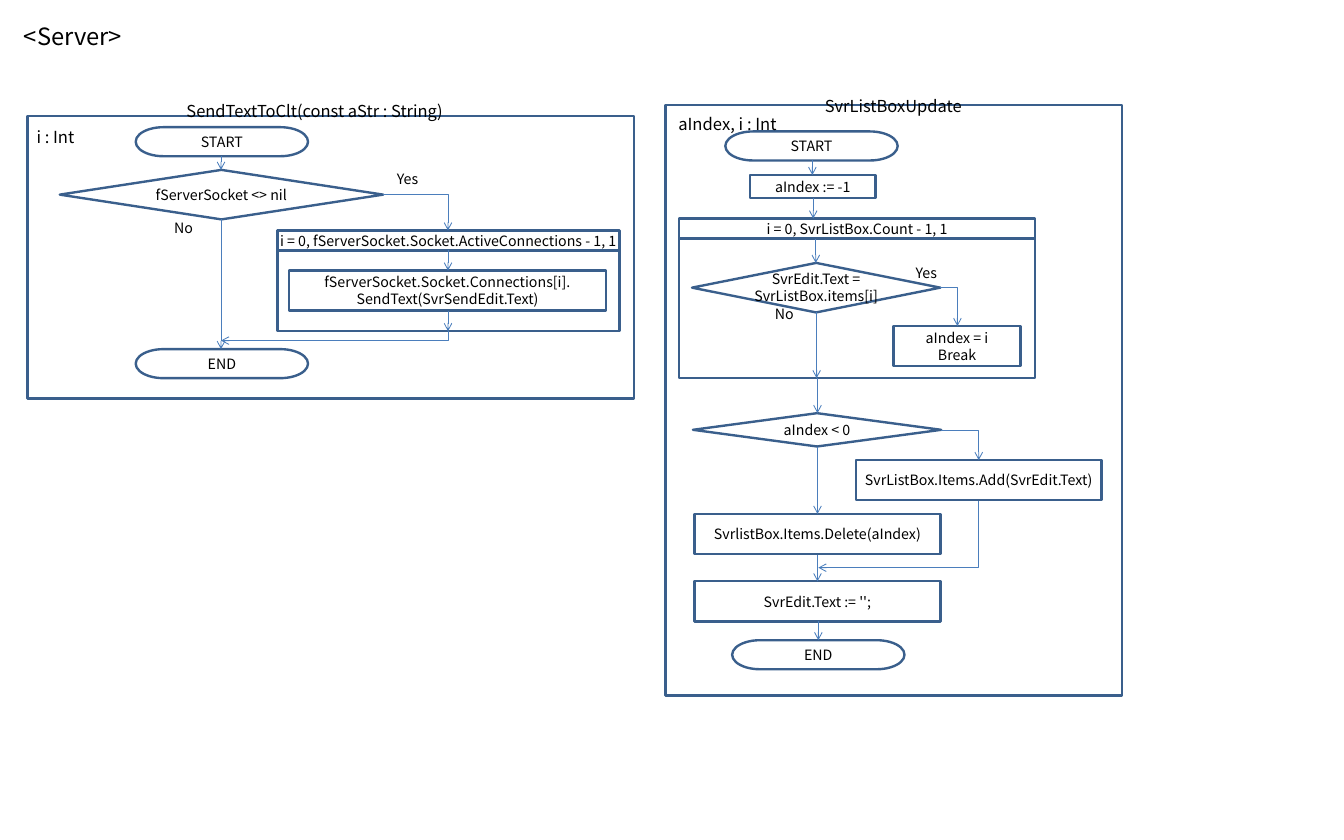
from lxml import etree
from pptx import Presentation
from pptx.dml.color import RGBColor
from pptx.enum.shapes import MSO_CONNECTOR, MSO_SHAPE
from pptx.enum.text import MSO_ANCHOR, MSO_AUTO_SIZE, PP_ALIGN
from pptx.oxml.ns import qn
from pptx.util import Pt

PX = 9144  # 100 px to the inch
FONT = "Noto Sans CJK KR"
COLORS = {"text": "000000", "box": "3A5F8C", "arrow": "4B7EBC"}
RECT = MSO_SHAPE.RECTANGLE
TERM = MSO_SHAPE.FLOWCHART_TERMINATOR
TEST = MSO_SHAPE.FLOWCHART_DECISION
LINE, ELBOW = MSO_CONNECTOR.STRAIGHT, MSO_CONNECTOR.ELBOW
LEFT, MID = PP_ALIGN.LEFT, PP_ALIGN.CENTER
TOP, MIDDLE = MSO_ANCHOR.TOP, MSO_ANCHOR.MIDDLE


def write(shape, text, size, align, anchor, wrap, pad_x, pad_y, base=0):
    frame = shape.text_frame
    frame.auto_size = MSO_AUTO_SIZE.NONE
    frame.word_wrap = wrap
    frame.vertical_anchor = anchor
    frame.margin_left = frame.margin_right = pad_x * PX
    frame.margin_top = frame.margin_bottom = pad_y * PX
    for i, line in enumerate(text.split("\n")):
        para = frame.add_paragraph() if i else frame.paragraphs[0]
        para.alignment = align
        run = para.add_run()
        run.text = line
        run.font.name = FONT
        run.font.size = Pt(size)
        run.font.color.rgb = RGBColor.from_string(COLORS["text"])
        if base:
            run.font._element.set("baseline", str(base * 1000))


def link(kind, x1, y1, x2, y2):
    wire = slide.shapes.add_connector(kind, *(round(n * PX) for n in (x1, y1, x2, y2)))
    wire.line.color.rgb = RGBColor.from_string(COLORS["arrow"])
    wire.line.width = Pt(0.75)
    props = wire._element.spPr
    etree.SubElement(props.find(qn("a:ln")), qn("a:tailEnd")).set("type", "arrow")
    etree.SubElement(props, qn("a:effectLst"))
    if kind == ELBOW:
        props.find(qn("a:prstGeom")).set("prst", "bentConnector2")
    return props


deck = Presentation()
deck.slide_width, deck.slide_height = 1575 * PX, 984 * PX
slide = deck.slides.add_slide(deck.slide_layouts[5])

# Title
title = slide.shapes.title
title.left, title.top, title.width, title.height = (n * PX for n in (20, 21, 135, 41))
write(title, "<Server>", 20, LEFT, TOP, False, 8, 4)

# Frames and flow steps: kind, left, top, width, height, text
steps = [
    # SendTextToClt
    (RECT, 32, 136, 711, 331, ""),
    (TERM, 159, 149, 202, 34, "START"),
    (TEST, 70, 199, 379, 58, "fServerSocket <> nil"),
    (RECT, 325, 293, 401, 95, ""),
    (RECT, 325, 270, 401, 24, "i = 0, fServerSocket.Socket.ActiveConnections - 1, 1"),
    (RECT, 339, 317, 371, 47,
     "fServerSocket.Socket.Connections[i].\nSendText(SvrSendEdit.Text)"),
    (TERM, 159, 409, 202, 34, "END"),
    # SvrListBoxUpdate
    (RECT, 780, 123, 535, 692, ""),
    (TERM, 850, 154, 202, 34, "START"),
    (RECT, 879, 205, 147, 27, "aIndex := -1"),
    (RECT, 796, 279, 417, 164, ""),
    (RECT, 796, 256, 417, 24, "i = 0, SvrListBox.Count - 1, 1"),
    (TEST, 811, 308, 291, 58, "SvrEdit.Text = SvrListBox.items[i]"),
    (RECT, 1047, 382, 149, 47, "aIndex = i\nBreak"),
    (TEST, 812, 484, 291, 39, "aIndex < 0"),
    (RECT, 1003, 539, 288, 47, "SvrListBox.Items.Add(SvrEdit.Text)"),
    (RECT, 814, 602, 288, 47, "SvrlistBox.Items.Delete(aIndex)"),
    (RECT, 814, 681, 288, 47, "SvrEdit.Text := '';"),
    (TERM, 858, 750, 202, 34, "END"),
]
for kind, x, y, w, h, text in steps:
    step = slide.shapes.add_shape(kind, x * PX, y * PX, w * PX, h * PX)
    step.shadow.inherit = False
    step.fill.background()
    step.line.color.rgb = RGBColor.from_string(COLORS["box"])
    step.line.width = Pt(2)
    if text:
        write(step, text, 12, MID, MIDDLE, True, 0, int(kind == TEST))

# Headings, variables and branch labels
notes = [
    (191, 91, 356, 37, "SendTextToClt(const aStr : String)", 24, MID, 10, 5, -25),
    (807, 85, 480, 37, "SvrListBoxUpdate", 24, MID, 10, 5, -25),
    (33, 144, 67, 34, "i : Int", 14, LEFT, 10, 5, 0),
    (785, 128, 138, 34, "aIndex, i : Int", 14, LEFT, 10, 5, 0),
    (204, 257, 29, 20, "No", 12, LEFT, 0, 0, 0),
    (465, 199, 29, 20, "Yes", 12, LEFT, 0, 0, 0),
    (908, 358, 29, 20, "No", 12, LEFT, 0, 0, 0),
    (1073, 310, 29, 20, "Yes", 12, LEFT, 0, 0, 0),
]
for x, y, w, h, text, size, align, pad_x, pad_y, base in notes:
    note = slide.shapes.add_textbox(x * PX, y * PX, w * PX, h * PX)
    write(note, text, size, align, TOP, align == MID or not pad_x, pad_x, pad_y, base)

# Straight arrows, all downward: x, top, bottom
falls = [
    (259, 183, 199), (259, 257, 409), (525, 293, 317), (525, 364, 388),
    (952, 187, 205), (953, 232, 256), (956, 280, 308), (957, 365, 443),
    (958, 443, 484), (958, 524, 602), (958, 650, 681), (959, 728, 750),
]
for x, y1, y2 in falls:
    link(LINE, x, y1, x, y2)

# Branches that go right, then down
for ends in [(449, 228, 525, 270), (1102, 337, 1122, 382), (1103, 504, 1147, 539)]:
    link(ELBOW, *ends)

# Branches that go down, then left: a quarter turn about the centre
for x1, y1, x2, y2 in [(525, 388, 259, 399), (1147, 587, 959, 665)]:
    mid_x, mid_y = (x1 + x2) / 2, (y1 + y2) / 2
    half_w, half_h = (y2 - y1) / 2, (x1 - x2) / 2
    turn = link(ELBOW, mid_x - half_w, mid_y - half_h, mid_x + half_w, mid_y + half_h)
    turn.find(qn("a:xfrm")).set("rot", "5400000")

deck.save("out.pptx")
